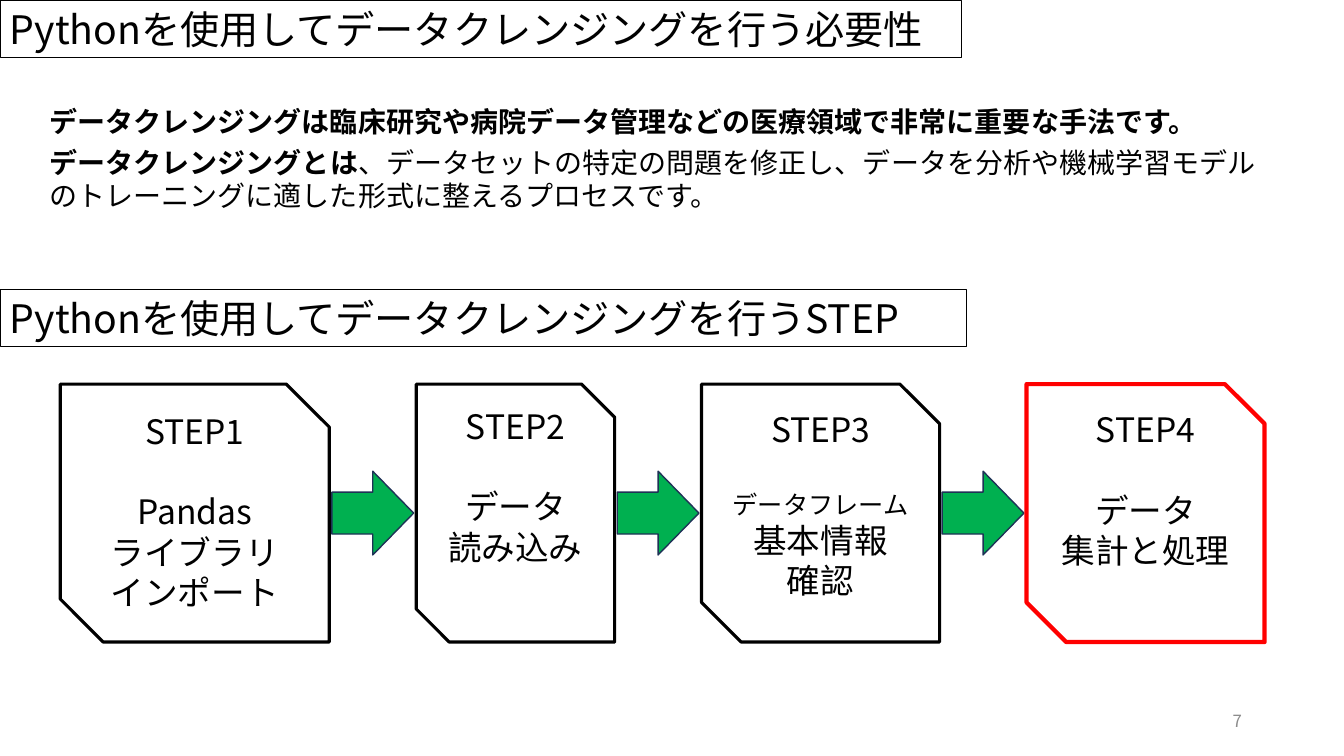
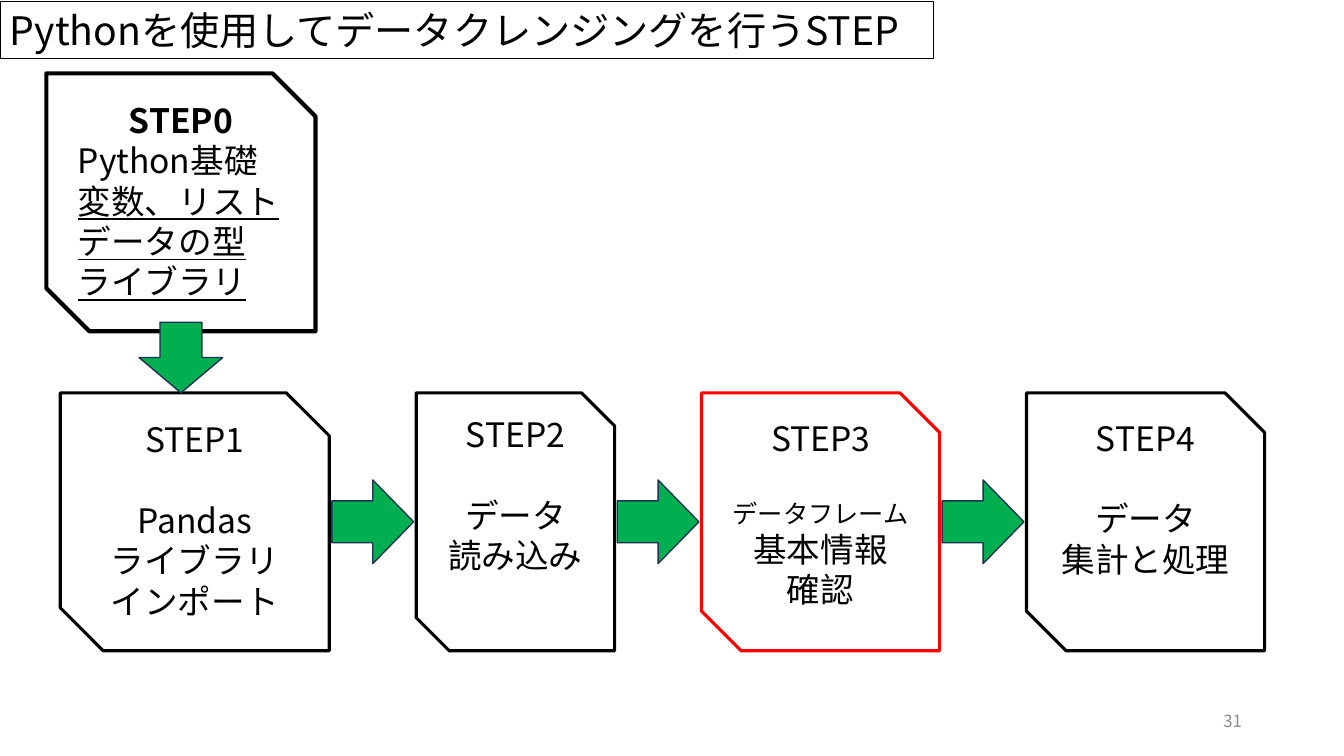
from pptx import Presentation
from pptx.dml.color import RGBColor as RGB
from pptx.enum.shapes import MSO_SHAPE as Form
from pptx.enum.text import MSO_ANCHOR as Anchor, MSO_AUTO_SIZE as Auto, PP_ALIGN as Align
from pptx.oxml.ns import qn
from pptx.util import Cm, Pt
from lxml.etree import SubElement as Sub

HUES = {"ink": "000000", "paper": "FFFFFF", "alert": "FF0000",
        "go": "00B050", "edge": "1E3256", "gray": "8C8C8C"}
FACE = "Noto Sans CJK JP"
LEAD = 1.2

LEFT, GAP, TALL = 1.52, 2.19, 6.5
LONG, WIDE = 2.06, 2.11

NEED = "Pythonを使用してデータクレンジングを行う必要性"
FLOW = "Pythonを使用してデータクレンジングを行うSTEP"
STEPS = [
    (6.78, "STEP1", [("Pandas", 24), ("ライブラリ", 24), ("インポート", 24)]),
    (5, "STEP2", [("データ", 24), ("読み込み", 24)]),
    (6, "STEP3", [("データフレーム", 18), ("基本情報", 24), ("確認", 24)]),
    (6, "STEP4", [("データ", 24), ("集計と処理", 24)]),
]
BASE = ["変数、リスト", "データの型", "ライブラリ"]


def put(item, style):
    for name, value in style.items():
        setattr(item, name, value)


def hue(name):
    return RGB.from_string(HUES[name])


def line(frame, parts, size, align, first=False, ink="ink", before=0):
    para = frame.paragraphs[0] if first else frame.add_paragraph()
    put(para, {"alignment": align, "line_spacing": Pt(size * LEAD)})
    if before:
        para.space_before = Pt(before)
    for text, style in parts:
        run = para.add_run()
        run.text = text
        put(run.font, {"name": FACE, "size": Pt(size), **style})
        run.font.color.rgb = hue(ink)
        Sub(run.font._element, qn("a:ea"), typeface=FACE)


def shape(slide, form, spot, fill="paper", edge="ink", width=2.25):
    item = slide.shapes.add_shape(form, *map(Cm, spot))
    item.shadow.inherit = False
    item.fill.solid()
    item.fill.fore_color.rgb = hue(fill)
    item.line.color.rgb = hue(edge)
    item.line.width = Pt(width)
    put(item.text_frame, {"word_wrap": True, "vertical_anchor": Anchor.TOP})
    return item


def head(slide, text, top, width):
    frame = shape(slide, Form.RECTANGLE, (0, top, width, 1.45), width=0.5).text_frame
    frame.auto_size = Auto.SHAPE_TO_FIT_TEXT
    line(frame, [(text, {})], 28, Align.JUSTIFY, first=True)


def note(slide, spot, parts, size, align, style, ink="ink"):
    frame = slide.shapes.add_textbox(*map(Cm, spot)).text_frame
    put(frame, {"word_wrap": True, **style})
    line(frame, parts, size, align, first=True, ink=ink)


def body(slide, top, height, parts):
    note(slide, (1, top, 30.9, height), parts, 20, Align.JUSTIFY,
         {"auto_size": Auto.SHAPE_TO_FIT_TEXT})


def page(slide, number):
    note(slide, (23.93, 17.65, 7.62, 1.02), [(number, {})], 12, Align.RIGHT,
         {"vertical_anchor": Anchor.MIDDLE}, ink="gray")


def card(slide, spot, edge="ink", width=2.25):
    return shape(slide, Form.SNIP_2_DIAG_RECTANGLE, spot, edge=edge, width=width).text_frame


def arrow(slide, form, spot):
    shape(slide, form, spot, "go", "edge", 1)


def chain(slide, top, mark, width):
    left = LEFT
    for wide, name, lines in STEPS:
        if left > LEFT:
            arrow(slide, Form.RIGHT_ARROW,
                  (left - (GAP + LONG) / 2, top + (TALL - WIDE) / 2, LONG, WIDE))
        look = {"edge": "alert", "width": width} if name == mark else {}
        frame = card(slide, (left, top, wide, TALL), **look)
        line(frame, [(name, {})], 24, Align.CENTER, first=True)
        for rank, (text, size) in enumerate(lines):
            line(frame, [(text, {})], size, Align.CENTER,
                 before=0 if rank else 24 * LEAD)
        left += wide + GAP


def start(slide, left, top, wide, end):
    frame = card(slide, (left, top, wide, TALL), width=3)
    line(frame, [("STEP0", {"bold": True})], 24, Align.CENTER, first=True)
    line(frame, [("Python基礎", {})], 24, Align.JUSTIFY)
    for text in BASE:
        line(frame, [(text, {"underline": True})], 24, Align.LEFT)
    drop = 1.78
    arrow(slide, Form.DOWN_ARROW, (left + (wide - WIDE) / 2, end - drop, WIDE, drop))


def main():
    deck = Presentation()
    put(deck, {"slide_width": Cm(33.87), "slide_height": Cm(19.05)})
    blank = deck.slide_layouts[6]

    slide = deck.slides.add_slide(blank)
    head(slide, NEED, 0, 24.23)
    body(slide, 2.51, 1.12, [
        ("データクレンジングは臨床研究や病院データ管理などの医療領域で非常に重要な手法です。", {"bold": True})])
    body(slide, 3.53, 1.96, [
        ("データクレンジングとは", {"bold": True}),
        ("、データセットの特定の問題を修正し、データを分析や機械学習モデルのトレーニングに適した形式に整えるプロセスです。", {})])
    head(slide, FLOW, 7.29, 24.36)
    chain(slide, 9.68, "STEP4", 3)
    page(slide, "7")

    slide = deck.slides.add_slide(blank)
    head(slide, FLOW, 0.03, 23.52)
    chain(slide, 9.9, "STEP3", 2.25)
    start(slide, 1.17, 1.85, 6.78, 9.9)
    page(slide, "31")

    deck.save("out.pptx")


if __name__ == "__main__":
    main()
